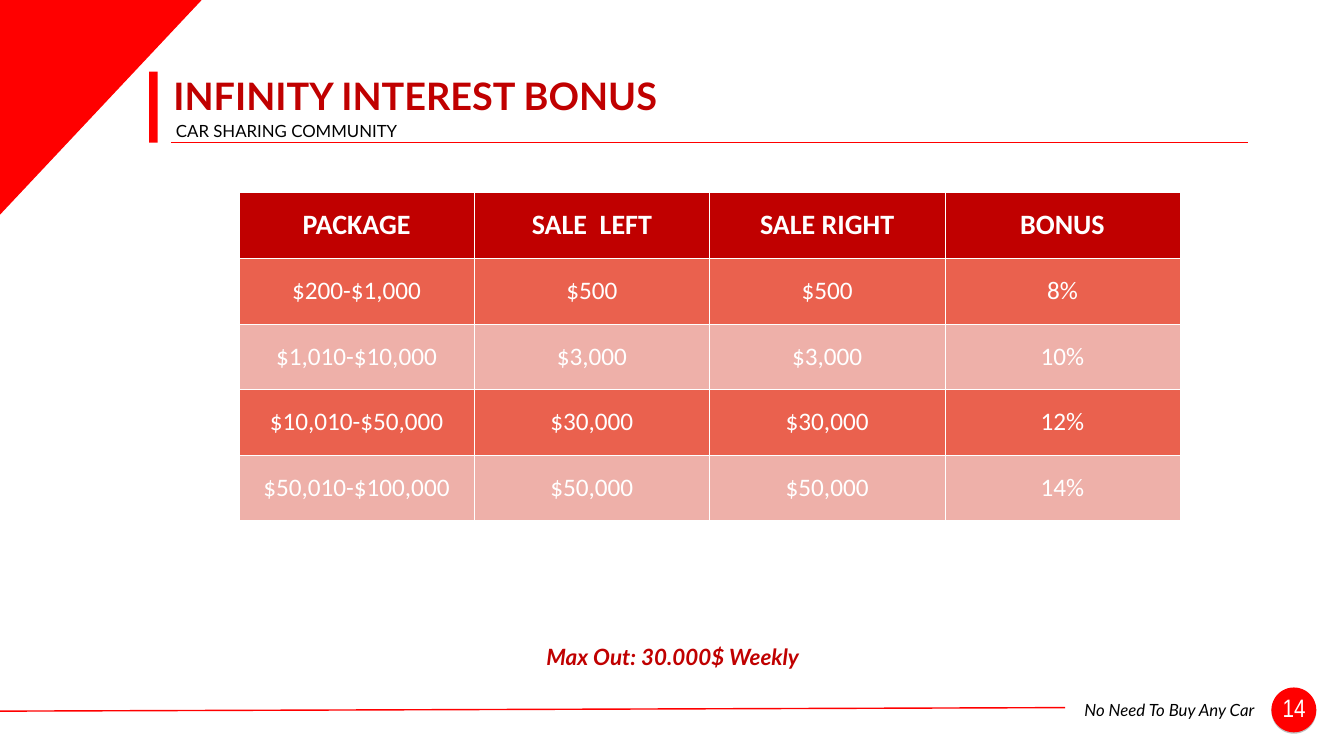
import dataclasses

import lxml.etree
import pptx
import pptx.dml.color
import pptx.enum.shapes
import pptx.enum.text
import pptx.oxml
import pptx.oxml.ns
import pptx.util

Pt = pptx.util.Pt
SHAPE = pptx.enum.shapes.MSO_SHAPE
ALIGN = pptx.enum.text.PP_ALIGN
ANCHOR = pptx.enum.text.MSO_ANCHOR
NS = pptx.oxml.ns.nsdecls("a")


@dataclasses.dataclass(frozen=True)
class Theme:
    red: str = "FF0000"
    dark_red: str = "C00000"
    coral: str = "EA614E"
    pink: str = "EEB0A9"
    white: str = "FFFFFF"
    black: str = "000000"
    shadow: str = "808080"
    text_font: str = "Lato"
    table_font: str = "Calibri"
    number_font: str = "Arial Narrow"
    title: int = 54
    head: int = 40
    body: int = 36
    note: int = 32
    small: int = 24
    rule: float = 2
    grid: float = 0.75


T = Theme()

ROWS = [
    ["PACKAGE", "SALE  LEFT", "SALE RIGHT", "BONUS"],
    ["$200-$1,000", "$500", "$500", "8%"],
    ["$1,010-$10,000", "$3,000", "$3,000", "10%"],
    ["$10,010-$50,000", "$30,000", "$30,000", "12%"],
    ["$50,010-$100,000", "$50,000", "$50,000", "14%"],
]


def rgb(color):
    return pptx.dml.color.RGBColor.from_string(color)


def paint(target, color):
    target.fill.solid()
    target.fill.fore_color.rgb = rgb(color)


def write(tf, text, color, size, align=ALIGN.LEFT, spacing=None, font=T.text_font, **style):
    p = tf.paragraphs[0]
    p.alignment = align
    if spacing:
        p.line_spacing = spacing
    r = p.add_run()
    r.text = text
    for name, value in {"name": font, "size": Pt(size), **style}.items():
        setattr(r.font, name, value)
    r.font.color.rgb = rgb(color)


def add_text(s, box, text, color, size, inset=(0, 0), anchor=ANCHOR.TOP, **style):
    tf = s.shapes.add_textbox(*map(Pt, box)).text_frame
    x, y = map(Pt, inset)
    frame = {"word_wrap": True, "vertical_anchor": anchor, "margin_left": x,
             "margin_right": x, "margin_top": y, "margin_bottom": y}
    for name, value in frame.items():
        setattr(tf, name, value)
    write(tf, text, color, size, **style)


def add_block(s, kind, box):
    sp = s.shapes.add_shape(kind, *map(Pt, box))
    sp.shadow.inherit = False
    paint(sp, T.red)
    sp.line.fill.background()
    return sp


def add_corner(s, box):
    sp = add_block(s, SHAPE.RIGHT_TRIANGLE, box)
    sp._element.spPr.xfrm.set("flipV", "1")


def add_badge(s, box):
    sp = add_block(s, SHAPE.OVAL, box)
    effects = sp._element.spPr.find(pptx.oxml.ns.qn("a:effectLst"))
    effects.append(pptx.oxml.parse_xml(
        f'<a:outerShdw {NS} dist="{Pt(2)}" dir="5400000" rotWithShape="0">'
        f'<a:srgbClr val="{T.shadow}"><a:alpha val="50000"/></a:srgbClr></a:outerShdw>'))


def add_rule(s, *ends):
    line = s.shapes.add_connector(pptx.enum.shapes.MSO_CONNECTOR.STRAIGHT, *map(Pt, ends))
    line.line.color.rgb = rgb(T.red)
    line.line.width = Pt(T.rule)
    lxml.etree.SubElement(line._element.spPr, pptx.oxml.ns.qn("a:effectLst"))


def add_borders(cell):
    tcPr = cell._tc.get_or_add_tcPr()
    for side in ("lnL", "lnR", "lnT", "lnB"):
        tcPr.append(pptx.oxml.parse_xml(
            f'<a:{side} {NS} w="{Pt(T.grid)}"><a:solidFill>'
            f'<a:srgbClr val="{T.white}"/></a:solidFill></a:{side}>'))


def add_bonus_table(s, left, top, col_width, row_height):
    n_rows, n_cols = len(ROWS), len(ROWS[0])
    table = s.shapes.add_table(n_rows, n_cols, Pt(left), Pt(top),
                               Pt(col_width * n_cols), Pt(row_height * n_rows)).table
    for col in table.columns:
        col.width = Pt(col_width)
    for i, values in enumerate(ROWS):
        table.rows[i].height = Pt(row_height)
        head = i == 0
        fill = T.dark_red if head else (T.pink, T.coral)[i % 2]
        for j, value in enumerate(values):
            cell = table.cell(i, j)
            cell.vertical_anchor = ANCHOR.MIDDLE
            add_borders(cell)
            paint(cell, fill)
            write(cell.text_frame, value, T.white, T.head if head else T.body,
                  align=ALIGN.CENTER, font=T.table_font, bold=head)


def main():
    prs = pptx.Presentation()
    prs.slide_width, prs.slide_height = Pt(1919.52), Pt(1080)
    s = prs.slides.add_slide(prs.slide_layouts[6])

    add_rule(s, -0.72, 1015.92, 1521.36, 1010.88)
    add_badge(s, (1815.84, 982.08, 64.08, 64.08))
    add_text(s, (1504.08, 995.76, 294.48, 36), "No Need To Buy Any Car", T.black, T.small,
             inset=(7.2, 3.6), align=ALIGN.RIGHT, italic=True)
    add_text(s, (244.8, 103.68, 1537.92, 66.24), "INFINITY INTEREST BONUS", T.dark_red,
             T.title, inset=(2.88, 2.88), anchor=ANCHOR.MIDDLE, bold=True)
    add_text(s, (251.28, 172.08, 1020.96, 31.68), "CAR SHARING COMMUNITY", T.black, T.small)
    add_block(s, SHAPE.RECTANGLE, (213.12, 102.24, 12.24, 101.52))
    add_corner(s, (-0.72, -0.72, 289.44, 308.16))
    add_rule(s, 244.8, 203.76, 1782, 203.76)
    add_text(s, (1785.6, 988.56, 125.28, 56.16), "14", T.white, T.body,
             align=ALIGN.CENTER, font=T.number_font)
    add_text(s, (144, 907.92, 1633.68, 69.12), "Max Out: 30.000$ Weekly", T.dark_red, T.note,
             align=ALIGN.CENTER, spacing=1.3, bold=True, italic=True)
    add_bonus_table(s, 341.28, 275.04, 336.06, 93.74)

    prs.save("out.pptx")


if __name__ == "__main__":
    main()
